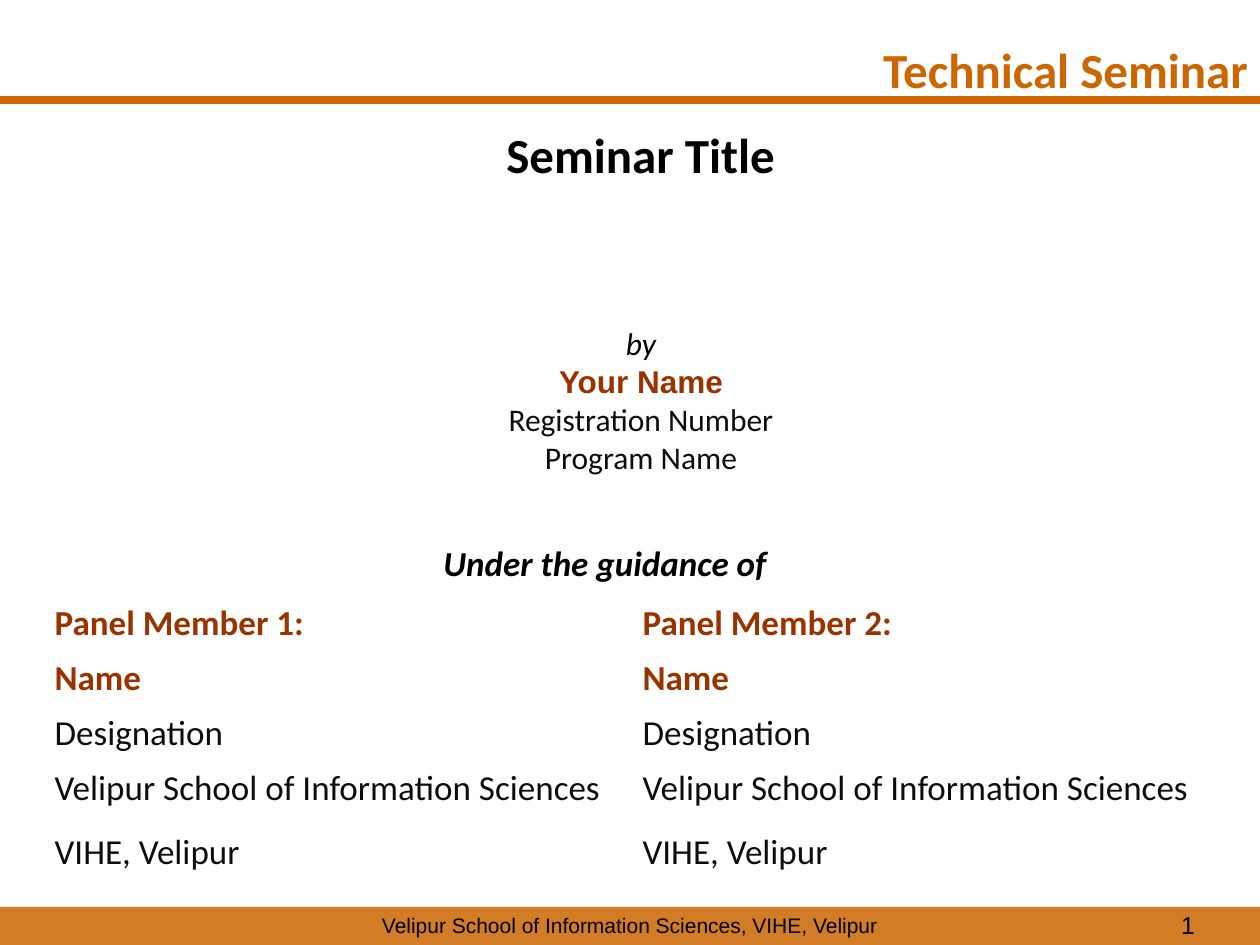
from dataclasses import dataclass

from lxml import etree
from pptx import Presentation
from pptx.dml.color import RGBColor
from pptx.enum.shapes import MSO_CONNECTOR, MSO_SHAPE
from pptx.enum.text import PP_ALIGN
from pptx.oxml.ns import qn
from pptx.util import Emu, Pt

EMU_PER_PX = 914400 / 126
WIDTH, HEIGHT = 1260, 945

ORANGE = RGBColor(0xCC, 0x66, 0x00)
RUST = RGBColor(0x99, 0x33, 0x00)
BLACK = RGBColor(0x00, 0x00, 0x00)
NEAR_BLACK = RGBColor(0x0D, 0x0D, 0x0D)

LEFT, CENTER, RIGHT = PP_ALIGN.LEFT, PP_ALIGN.CENTER, PP_ALIGN.RIGHT
RECTANGLE = MSO_SHAPE.RECTANGLE
STRAIGHT = MSO_CONNECTOR.STRAIGHT

SCHOOL = "Velipur School of Information Sciences"
PLACE = "VIHE, Velipur"


@dataclass(frozen=True)
class Style:
    size: int
    color: RGBColor = BLACK
    font: str = "Calibri"
    bold: bool = False
    italic: bool = False


@dataclass(frozen=True)
class Line:
    text: str
    style: Style


@dataclass(frozen=True)
class Block:
    left: int
    top: int
    width: int
    height: int
    align: PP_ALIGN
    lines: tuple[Line, ...]


DETAIL = Style(18, NEAR_BLACK)
PANEL_HEAD = Style(20, RUST, bold=True)
PANEL_BODY = Style(20, NEAR_BLACK)

BLOCKS = (
    Block(0, 906, WIDTH, 38, CENTER,
          (Line(f"{SCHOOL}, {PLACE}", Style(12, font="Arial")),)),
    Block(26, 118, 1229, 147, CENTER,
          (Line("Seminar Title", Style(28, bold=True)),)),
    Block(53, 318, 1176, 180, CENTER,
          (Line("by", Style(18, italic=True)),
           Line("Your Name", Style(18, RUST, "Arial", bold=True)),
           Line("Registration Number", DETAIL),
           Line("Program Name", DETAIL))),
    Block(914, 904, 293, 41, RIGHT, (Line("1", Style(14, font="Arial")),)),
    Block(860, 33, 400, 72, RIGHT,
          (Line("Technical Seminar", Style(28, ORANGE, bold=True)),)),
    Block(431, 535, 400, 60, LEFT,
          (Line("Under the guidance of", Style(20, bold=True, italic=True)),)),
)

PANEL_LEFT, PANEL_TOP, PANEL_COLUMN = 42, 596, 588
PANEL_ROW_HEIGHTS = (55, 55, 55, 64, 64)
PANEL_MEMBERS = (1, 2)


def px(value: int) -> Emu:
    return Emu(round(value * EMU_PER_PX))


def write_line(p, line: Line, align: PP_ALIGN) -> None:
    p.text = line.text
    p.alignment = align
    font = p.runs[0].font
    font.size = Pt(line.style.size)
    font.name = line.style.font
    font.bold = line.style.bold
    font.italic = line.style.italic
    font.color.rgb = line.style.color


def add_block(slide, block: Block) -> None:
    sp = slide.shapes.add_textbox(
        px(block.left), px(block.top), px(block.width), px(block.height))
    tf = sp.text_frame
    tf.word_wrap = True
    for i, line in enumerate(block.lines):
        p = tf.add_paragraph() if i else tf.paragraphs[0]
        write_line(p, line, block.align)


def add_header_rule(slide) -> None:
    rule = slide.shapes.add_connector(STRAIGHT, 0, px(100), px(WIDTH), px(100))
    rule.line.color.rgb = ORANGE
    rule.line.width = Pt(4.5)
    etree.SubElement(rule._element.spPr, qn("a:effectLst"))


def add_footer_band(slide) -> None:
    band = slide.shapes.add_shape(RECTANGLE, 0, px(907), px(WIDTH), px(38))
    band.shadow.inherit = False
    band.fill.solid()
    band.fill.fore_color.rgb = ORANGE
    band.line.fill.background()
    color = band._element.spPr.find(f".//{qn('a:srgbClr')}")
    etree.SubElement(color, qn("a:alpha"), val="85000")


def panel_lines(number: int) -> tuple[Line, ...]:
    return (
        Line(f"Panel Member {number}:", PANEL_HEAD),
        Line("Name", PANEL_HEAD),
        Line("Designation", PANEL_BODY),
        Line(SCHOOL, PANEL_BODY),
        Line(PLACE, PANEL_BODY),
    )


def add_panel_table(slide) -> None:
    columns = len(PANEL_MEMBERS)
    table = slide.shapes.add_table(
        len(PANEL_ROW_HEIGHTS), columns, px(PANEL_LEFT), px(PANEL_TOP),
        px(PANEL_COLUMN * columns), px(sum(PANEL_ROW_HEIGHTS))).table
    table.first_row = False
    table.horz_banding = False
    for row, height in zip(table.rows, PANEL_ROW_HEIGHTS):
        row.height = px(height)
    for col, number in enumerate(PANEL_MEMBERS):
        table.columns[col].width = px(PANEL_COLUMN)
        for row, line in enumerate(panel_lines(number)):
            cell = table.cell(row, col)
            cell.fill.background()
            write_line(cell.text_frame.paragraphs[0], line, LEFT)


def main() -> None:
    prs = Presentation()
    prs.slide_width, prs.slide_height = px(WIDTH), px(HEIGHT)
    slide = prs.slides.add_slide(prs.slide_layouts[6])
    add_header_rule(slide)
    add_footer_band(slide)
    for block in BLOCKS:
        add_block(slide, block)
    add_panel_table(slide)
    prs.save("out.pptx")


if __name__ == "__main__":
    main()
